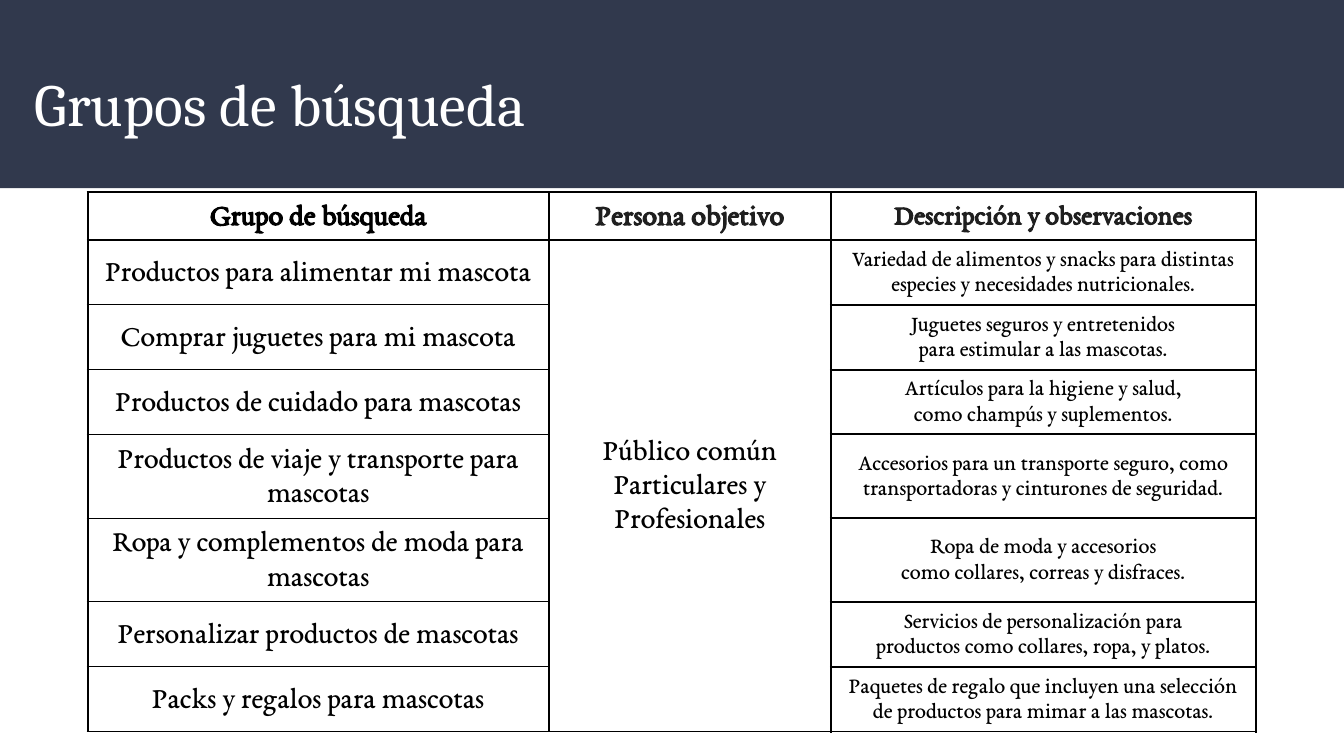
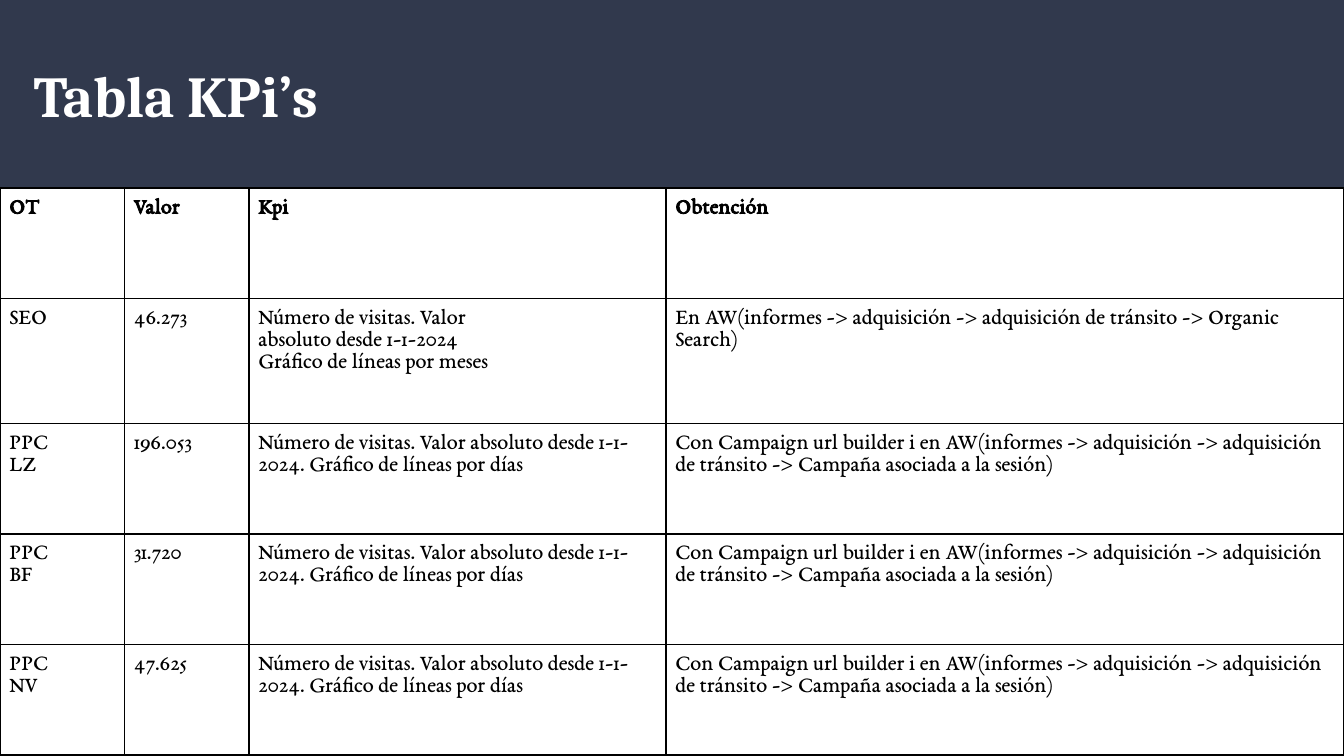
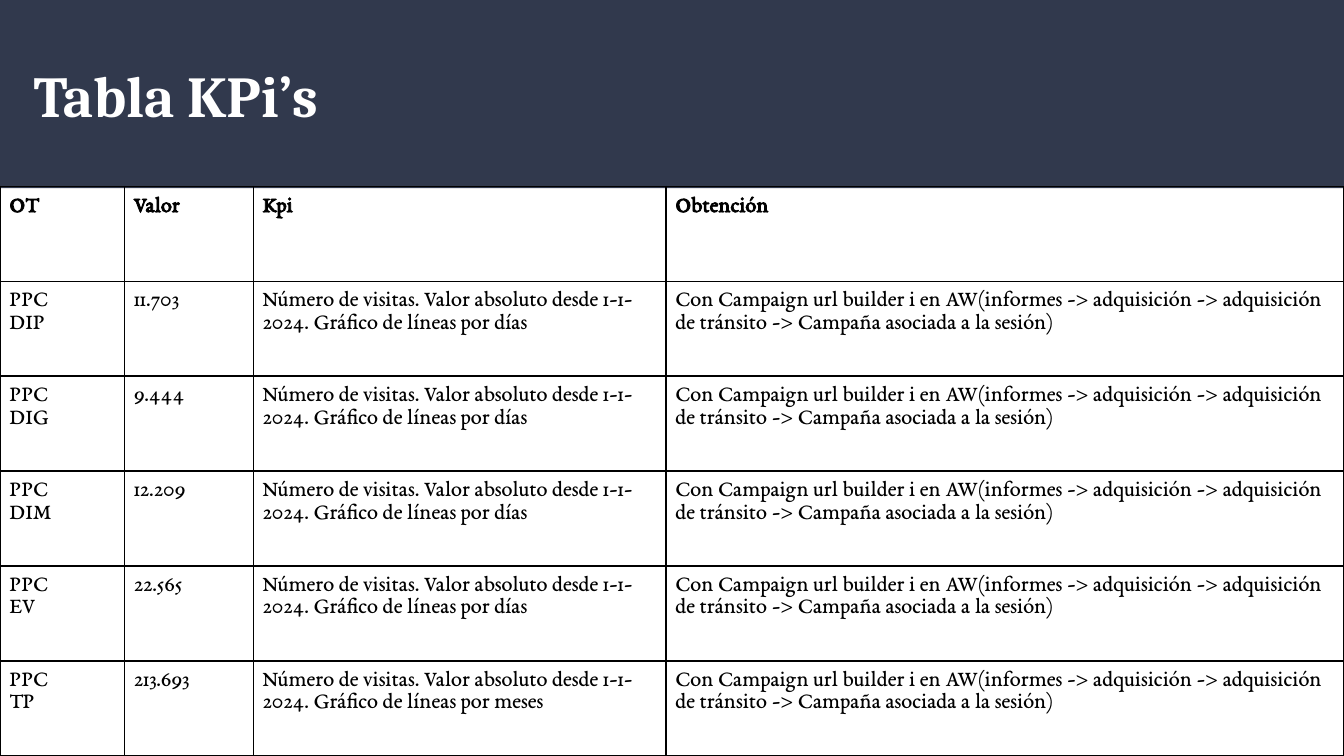
from dataclasses import dataclass

from lxml import etree
from pptx import Presentation
from pptx.dml.color import RGBColor
from pptx.enum.shapes import MSO_SHAPE
from pptx.enum.text import MSO_ANCHOR, MSO_AUTO_SIZE, PP_ALIGN
from pptx.oxml.ns import qn
from pptx.util import Pt

RECTANGLE = MSO_SHAPE.RECTANGLE
TOP, MIDDLE = MSO_ANCHOR.TOP, MSO_ANCHOR.MIDDLE
LEFT, CENTER = PP_ALIGN.LEFT, PP_ALIGN.CENTER
NO_AUTOFIT = MSO_AUTO_SIZE.NONE

COLORS = {"band": "31394D", "white": "FFFFFF", "black": "000000", "heading": "1F1F1F"}
TITLE_FONT, TABLE_FONT = "Cambria", "EB Garamond"
SLIDE_WIDTH, SLIDE_HEIGHT, BAND_HEIGHT = 720, 405, 100.8
TITLE_INSET = 7.2
SIDES = {"left": "a:lnL", "right": "a:lnR", "top": "a:lnT", "bottom": "a:lnB"}


@dataclass(frozen=True)
class Title:
    text: str
    box: tuple[float, float, float, float]
    size: float
    bold: bool = False
    spacing: float = 1.0
    space_after: float = 0
    outlined: bool = False


@dataclass(frozen=True)
class Grid:
    left: float
    top: float
    widths: list[float]
    heights: list[float]
    inset_x: float
    inset_y: float
    border: float
    anchor: MSO_ANCHOR = TOP
    align: PP_ALIGN = LEFT
    spacing: float = 1.0


@dataclass(frozen=True)
class CellStyle:
    size: float = 12
    bold: bool = False
    color: str = "black"
    fill: str | None = None


# Content
SEARCH_TITLE = Title("Grupos de búsqueda", (11.5, 28.8, 671, 49), 32)
KPI_TITLE = Title("Tabla KPi’s", (10.8, 19.4, 684, 51.8), 31, bold=True,
                  spacing=1.15, space_after=6, outlined=True)

SEARCH_HEADINGS = ["Grupo de búsqueda", "Persona objetivo", "Descripción y observaciones"]
SEARCH_HEADING_STYLES = [
    CellStyle(16, True),
    CellStyle(16, True, "heading", "white"),
    CellStyle(15, True, "heading"),
]
SEARCH_STYLES = [CellStyle(16), CellStyle(16, fill="white"), CellStyle(12)]
AUDIENCE = "Público común\nParticulares y Profesionales"
SEARCH_GROUPS = [
    ("Productos para alimentar mi mascota",
     "Variedad de alimentos y snacks para distintas\nespecies y necesidades nutricionales."),
    ("Comprar juguetes para mi mascota",
     "Juguetes seguros y entretenidos\npara estimular a las mascotas."),
    ("Productos de cuidado para mascotas",
     "Artículos para la higiene y salud,\ncomo champús y suplementos."),
    ("Productos de viaje y transporte para mascotas",
     "Accesorios para un transporte seguro, como\ntransportadoras y cinturones de seguridad."),
    ("Ropa y complementos de moda para mascotas",
     "Ropa de moda y accesorios\ncomo collares, correas y disfraces."),
    ("Personalizar productos de mascotas",
     "Servicios de personalización para\nproductos como collares, ropa, y platos."),
    ("Packs y regalos para mascotas",
     "Paquetes de regalo que incluyen una selección\nde productos para mimar a las mascotas."),
]
SEARCH_GRID = Grid(47, 103, [247, 151.2, 227.5],
                   [25.4, *[34.8] * 3, *[44.8] * 2, *[34.8] * 2],
                   2.25, 1.5, 1.2, MIDDLE, CENTER, 1.15)
THIN_BORDER = 0.6

KPI_HEADINGS = ("OT", "Valor", "Kpi", "Obtención")
VISITS = "Número de visitas. Valor absoluto desde 1-1-2024. Gráfico de líneas por "
CAMPAIGN = ("Con Campaign url builder i en AW(informes -> adquisición -> "
            "adquisición de tránsito -> Campaña asociada a la sesión)")
SEO_ROW = ("SEO", "46.273",
           "Número de visitas. Valor\nabsoluto desde 1-1-2024\nGráfico de líneas por meses",
           "En AW(informes -> adquisición -> adquisición de tránsito -> Organic Search)")


def ppc_row(campaign: str, visits: str, period: str = "días") -> tuple[str, ...]:
    return f"PPC\n{campaign}", visits, VISITS + period, CAMPAIGN


KPI_PAGES = [
    (Grid(0, 100.7, [66.7, 66.7, 223.4, 363.2], [59.2, 67, *[59.2] * 3], 5, 5, 1),
     [KPI_HEADINGS, SEO_ROW, ppc_row("LZ", "196.053"), ppc_row("BF", "31.720"),
      ppc_row("NV", "47.625")]),
    (Grid(0, 99.9, [66.7, 69, 221.1, 363.2], [50.85] * 6, 5, 5, 1),
     [KPI_HEADINGS, ppc_row("DIP", "11.703"), ppc_row("DIG", "9.444"),
      ppc_row("DIM", "12.209"), ppc_row("EV", "22.565"),
      ppc_row("TP", "213.693", "meses")]),
]


# Shared drawing
def rgb(name: str) -> RGBColor:
    return RGBColor.from_string(COLORS[name])


def apply(target, values: dict) -> None:
    for attribute, value in values.items():
        setattr(target, attribute, value)


def margins(x: float, y: float) -> dict:
    return {"margin_left": Pt(x), "margin_right": Pt(x),
            "margin_top": Pt(y), "margin_bottom": Pt(y)}


def format_font(font, name: str, size: float, bold: bool, color: str) -> None:
    apply(font, {"name": name, "size": Pt(size), "bold": bold})
    font.color.rgb = rgb(color)


def prepare_layout(layout, slide) -> None:
    """Leave only the title on the layout and put the band behind it."""
    for placeholder in list(layout.placeholders):
        if placeholder.placeholder_format.idx != 0:
            placeholder._element.getparent().remove(placeholder._element)
    band = slide.shapes.add_shape(RECTANGLE, 0, 0, Pt(SLIDE_WIDTH), Pt(BAND_HEIGHT))
    band.shadow.inherit = False
    band.fill.solid()
    band.fill.fore_color.rgb = rgb("band")
    band.line.fill.background()
    layout.shapes._spTree.insert(2, band._element)


def set_title(slide, title: Title) -> None:
    heading = slide.shapes.title
    apply(heading, dict(zip(("left", "top", "width", "height"), map(Pt, title.box))))
    if title.outlined:
        heading.line.color.rgb = rgb("band")
        heading.line.width = Pt(0.75)
    frame = heading.text_frame
    frame.text = title.text
    apply(frame, {"word_wrap": True, "auto_size": NO_AUTOFIT, "vertical_anchor": TOP,
                  **margins(TITLE_INSET, TITLE_INSET)})
    paragraph = frame.paragraphs[0]
    apply(paragraph, {"alignment": LEFT, "line_spacing": title.spacing,
                      "space_before": Pt(0), "space_after": Pt(title.space_after)})
    format_font(paragraph.runs[0].font, TITLE_FONT, title.size, title.bold, "white")


def set_borders(cell, widths: dict[str, float]) -> None:
    properties = cell._tc.get_or_add_tcPr()
    for position, (side, tag) in enumerate(SIDES.items()):
        line = etree.Element(qn(tag), w=str(Pt(widths[side])))
        fill = etree.SubElement(line, qn("a:solidFill"))
        etree.SubElement(fill, qn("a:srgbClr"), val=COLORS["black"])
        properties.insert(position, line)


def fill_cell(cell, text: str, style: CellStyle, grid: Grid) -> None:
    cell.text_frame.text = text
    apply(cell, {"vertical_anchor": grid.anchor, **margins(grid.inset_x, grid.inset_y)})
    for paragraph in cell.text_frame.paragraphs:
        apply(paragraph, {"alignment": grid.align, "line_spacing": grid.spacing})
        format_font(paragraph.font, TABLE_FONT, style.size, style.bold, style.color)
        for run in paragraph.runs:
            format_font(run.font, TABLE_FONT, style.size, style.bold, style.color)
    if style.fill:
        cell.fill.solid()
        cell.fill.fore_color.rgb = rgb(style.fill)
    else:
        cell.fill.background()


def add_grid(slide, grid: Grid, rows: list, heading_styles: list[CellStyle],
             body_styles: list[CellStyle], thin_first_column: bool = False):
    table = slide.shapes.add_table(
        len(rows), len(grid.widths), Pt(grid.left), Pt(grid.top),
        Pt(sum(grid.widths)), Pt(sum(grid.heights))).table
    apply(table, {"first_row": False, "horz_banding": False})
    for column, width in zip(table.columns, grid.widths):
        column.width = Pt(width)
    for r, (texts, height) in enumerate(zip(rows, grid.heights)):
        table.rows[r].height = Pt(height)
        for c, (text, style) in enumerate(zip(texts, body_styles if r else heading_styles)):
            cell = table.cell(r, c)
            fill_cell(cell, text, style, grid)
            borders = dict.fromkeys(SIDES, grid.border)
            if thin_first_column and c == 0 and r > 0:
                borders["bottom"] = THIN_BORDER
                if r > 1:
                    borders["top"] = THIN_BORDER
            set_borders(cell, borders)
    return table


# Slides
def add_search_slide(slide) -> None:
    set_title(slide, SEARCH_TITLE)
    rows = [SEARCH_HEADINGS] + [
        (group, "" if i else AUDIENCE, description)
        for i, (group, description) in enumerate(SEARCH_GROUPS)]
    table = add_grid(slide, SEARCH_GRID, rows, SEARCH_HEADING_STYLES, SEARCH_STYLES,
                     thin_first_column=True)
    table.cell(1, 1).merge(table.cell(len(SEARCH_GROUPS), 1))


def add_kpi_slide(slide, grid: Grid, rows: list) -> None:
    set_title(slide, KPI_TITLE)
    columns = len(KPI_HEADINGS)
    add_grid(slide, grid, rows, [CellStyle(bold=True)] * columns, [CellStyle()] * columns)


def main() -> None:
    deck = Presentation()
    apply(deck, {"slide_width": Pt(SLIDE_WIDTH), "slide_height": Pt(SLIDE_HEIGHT)})
    title_only = deck.slide_layouts[5]
    search_slide = deck.slides.add_slide(title_only)
    prepare_layout(title_only, search_slide)
    add_search_slide(search_slide)
    for grid, rows in KPI_PAGES:
        add_kpi_slide(deck.slides.add_slide(title_only), grid, rows)
    deck.save("out.pptx")


if __name__ == "__main__":
    main()
